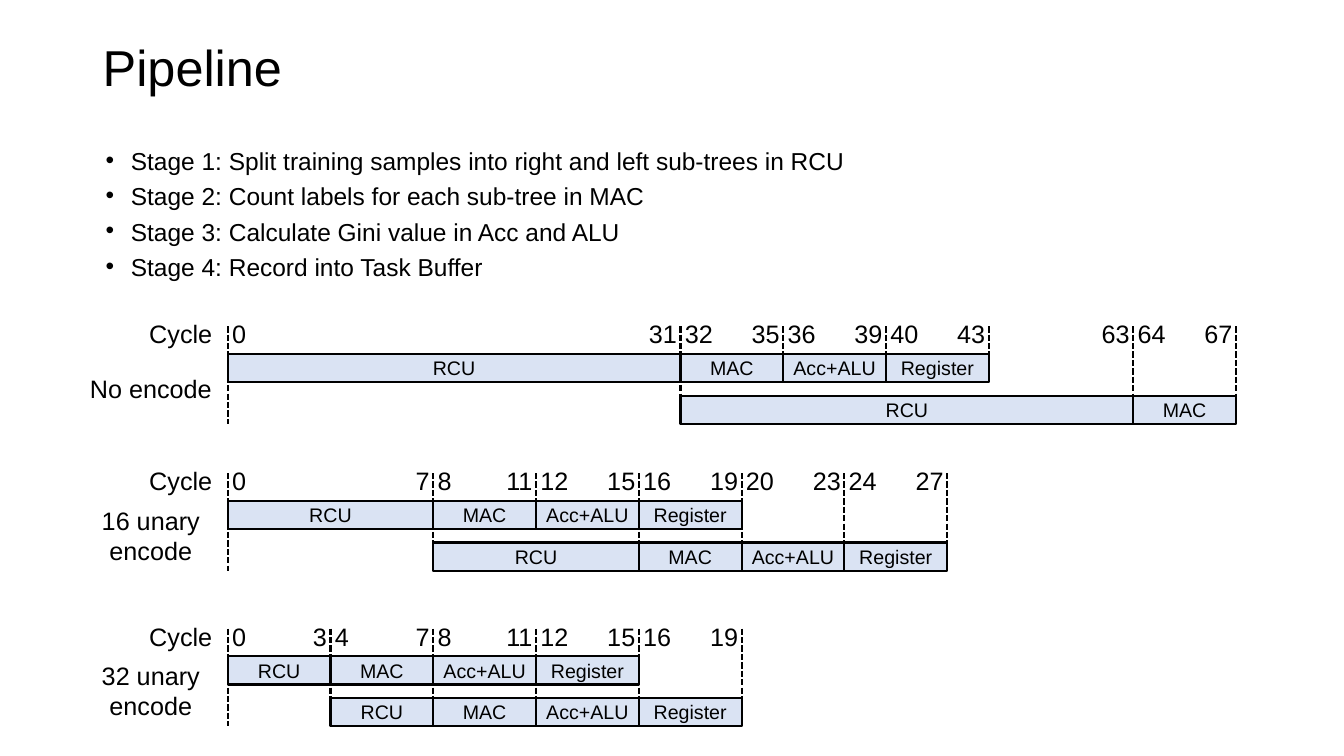
from lxml.etree import SubElement
from pptx import Presentation
from pptx.dml.color import RGBColor
from pptx.enum.dml import MSO_LINE
from pptx.enum.shapes import MSO_CONNECTOR, MSO_SHAPE
from pptx.enum.text import MSO_ANCHOR, MSO_AUTO_SIZE, PP_ALIGN
from pptx.oxml.ns import qn
from pptx.util import Cm, Pt

BLACK = RGBColor(0x00, 0x00, 0x00)
PALE_BLUE = RGBColor(0xDA, 0xE3, 0xF3)
FONT = "Arial"

STEP_CYCLES = 4
STEP_WIDTH = 2.59
BAR_HEIGHT = 0.71
ROW_PITCH = 1.05
DASH_RISE = 0.7
LABEL_HEIGHT = 1.02
DIAGRAM_LEFT = 5.74

STAGES = ["RCU", "MAC", "Acc+ALU", "Register"]
BULLETS = [
    "Stage 1: Split training samples into right and left sub-trees in RCU",
    "Stage 2: Count labels for each sub-tree in MAC",
    "Stage 3: Calculate Gini value in Acc and ALU",
    "Stage 4: Record into Task Buffer",
]
# name, top, cycles spent in RCU, drawn RCU width, stages shown in the second row
DIAGRAMS = [
    ("No encode", 8.92, 32, 11.41, 2),
    ("16 unary\nencode", 12.62, 8, 2 * STEP_WIDTH, 4),
    ("32 unary\nencode", 16.54, 4, STEP_WIDTH, 4),
]


def format_text(text_frame, size, alignment=PP_ALIGN.LEFT):
    """Apply the slide's font and an alignment to every paragraph."""
    for paragraph in text_frame.paragraphs:
        paragraph.alignment = alignment
        for run in paragraph.runs:
            run.font.name = FONT
            run.font.size = Pt(size)
            run.font.color.rgb = BLACK


def add_title(slide, left, top, width, height):
    """Place the slide title in its box."""
    text_frame = slide.shapes.add_textbox(Cm(left), Cm(top), Cm(width), Cm(height)).text_frame
    text_frame.word_wrap = True
    text_frame.vertical_anchor = MSO_ANCHOR.MIDDLE
    text_frame.text = "Pipeline"
    text_frame.paragraphs[0].line_spacing = 0.9
    format_text(text_frame, 36)


def add_bullets(slide, left, top, width, height):
    """Place the bulleted list of stages in its box."""
    text_frame = slide.shapes.add_textbox(Cm(left), Cm(top), Cm(width), Cm(height)).text_frame
    text_frame.word_wrap = True
    text_frame.text = "\n".join(BULLETS)
    format_text(text_frame, 17.5)
    for index, paragraph in enumerate(text_frame.paragraphs):
        paragraph.line_spacing = 0.7
        paragraph.space_before = Pt(10.5 if index else 0)
        properties = paragraph._p.get_or_add_pPr()
        properties.set("marL", str(Cm(0.64)))
        properties.set("indent", str(Cm(-0.64)))
        SubElement(properties, qn("a:buFont")).set("typeface", FONT)
        SubElement(properties, qn("a:buChar")).set("char", "•")


def add_bar(group, stage, left, top, width):
    """Draw one stage as a labelled bar."""
    shape = group.shapes.add_shape(
        MSO_SHAPE.RECTANGLE, Cm(left), Cm(top), Cm(width), Cm(BAR_HEIGHT))
    shape.shadow.inherit = False
    shape.fill.solid()
    shape.fill.fore_color.rgb = PALE_BLUE
    shape.line.color.rgb = BLACK
    shape.line.width = Pt(1.5)
    text_frame = shape.text_frame
    text_frame.margin_left = text_frame.margin_right = 0
    text_frame.margin_top = text_frame.margin_bottom = 0
    text_frame.vertical_anchor = MSO_ANCHOR.MIDDLE
    text_frame.text = stage
    format_text(text_frame, 14, PP_ALIGN.CENTER)


def add_dash(group, left, top, bottom):
    """Draw a dashed vertical line at a cycle boundary."""
    connector = group.shapes.add_connector(
        MSO_CONNECTOR.STRAIGHT, Cm(left), Cm(top), Cm(left), Cm(bottom))
    connector.line.color.rgb = BLACK
    connector.line.width = Pt(1.5)
    connector.line.dash_style = MSO_LINE.SQUARE_DOT
    SubElement(connector._element.spPr, qn("a:effectLst"))


def add_label(group, text, left, top, width, height, alignment):
    """Place a label that does not wrap."""
    text_frame = group.shapes.add_textbox(Cm(left), Cm(top), Cm(width), Cm(height)).text_frame
    text_frame.word_wrap = False
    text_frame.auto_size = MSO_AUTO_SIZE.SHAPE_TO_FIT_TEXT
    text_frame.text = text
    format_text(text_frame, 18, alignment)


def add_diagram(slide, left, top, name, rcu_cycles, rcu_width, second_stages):
    """Draw two overlapping pipeline rows with their cycle marks and captions."""
    group = slide.shapes.add_group_shape()
    positions = {0: left}
    starts, ends, row_bottoms = set(), set(), {}
    bottom = top + ROW_PITCH + BAR_HEIGHT

    for row, stages in enumerate([STAGES, STAGES[:second_stages]]):
        cycle = row * rcu_cycles
        bar_top = top + row * ROW_PITCH
        for stage in stages:
            cycles, width = STEP_CYCLES, STEP_WIDTH
            if stage == "RCU":
                cycles, width = rcu_cycles, rcu_width
            add_bar(group, stage, positions[cycle], bar_top, width)
            starts.add(cycle)
            row_bottoms[cycle] = bar_top + BAR_HEIGHT
            positions.setdefault(cycle + cycles, positions[cycle] + width)
            cycle += cycles
            ends.add(cycle)
            row_bottoms[cycle] = bar_top + BAR_HEIGHT
    row_bottoms[0] = bottom

    for cycle, dash_bottom in row_bottoms.items():
        add_dash(group, positions[cycle], top - DASH_RISE, dash_bottom)

    label_top = top - LABEL_HEIGHT
    for cycle in sorted(starts):
        width = 0.86 if cycle < 10 else 1.22
        add_label(group, str(cycle), positions[cycle] - 0.14, label_top,
                  width, LABEL_HEIGHT, PP_ALIGN.LEFT)
    for cycle in sorted(ends):
        width = 0.86 if cycle <= 10 else 1.22
        add_label(group, str(cycle - 1), positions[cycle] + 0.16 - width, label_top,
                  width, LABEL_HEIGHT, PP_ALIGN.RIGHT)

    add_label(group, "Cycle", left - 2.25, label_top, 2.11, LABEL_HEIGHT, PP_ALIGN.RIGHT)
    name_height = 1.8 if "\n" in name else LABEL_HEIGHT
    name_width = 3.0 if "\n" in name else 3.6
    add_label(group, name, left - 1.94 - name_width / 2, (top + bottom - name_height) / 2,
              name_width, name_height, PP_ALIGN.CENTER)


def main():
    """Build the pipeline slide and save it."""
    presentation = Presentation()
    presentation.slide_width = Cm(33.87)
    presentation.slide_height = Cm(19.05)
    slide = presentation.slides.add_slide(presentation.slide_layouts[6])
    add_title(slide, 2.34, 0.58, 29.21, 2.36)
    add_bullets(slide, 2.41, 3.76, 29.21, 3.45)
    for name, top, rcu_cycles, rcu_width, second_stages in DIAGRAMS:
        add_diagram(slide, DIAGRAM_LEFT, top, name, rcu_cycles, rcu_width, second_stages)
    presentation.save("out.pptx")


if __name__ == "__main__":
    main()
